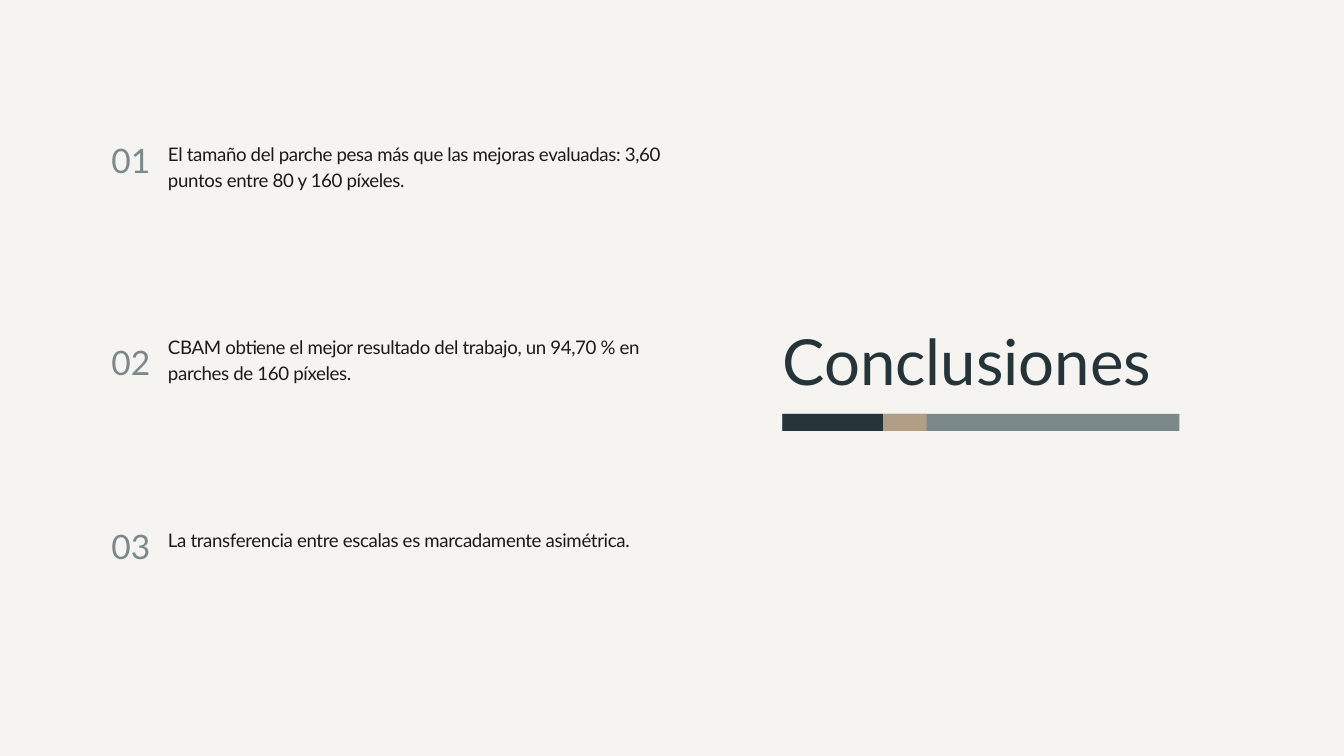
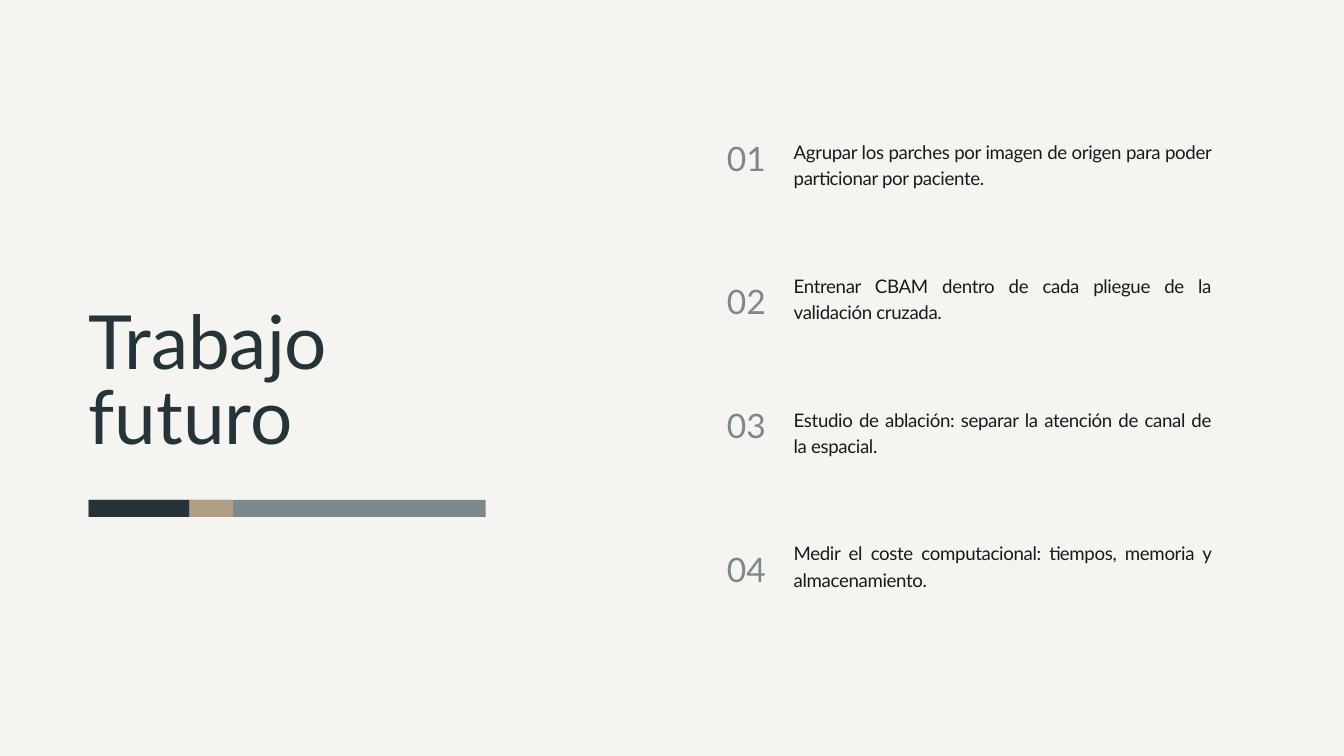
from dataclasses import dataclass

from pptx import Presentation
from pptx.dml.color import RGBColor
from pptx.enum.shapes import MSO_SHAPE
from pptx.enum.text import MSO_AUTO_SIZE, PP_ALIGN
from pptx.util import Cm, Pt


@dataclass(frozen=True)
class Theme:
    font: str = "Lato"
    background: RGBColor = RGBColor(0xF6, 0xF4, 0xF1)
    dark: RGBColor = RGBColor(0x25, 0x34, 0x39)
    sand: RGBColor = RGBColor(0xB2, 0x9E, 0x84)
    gray: RGBColor = RGBColor(0x7C, 0x89, 0x8B)
    ink: RGBColor = RGBColor(0x1C, 0x19, 0x1A)
    number_size: int = 36
    body_size: int = 20
    body_leading: int = 28
    body_tracking: int = -40  # hundredths of a point
    title_leading: int = 80
    band_height: float = 0.64
    number_height: float = 1.37
    number_drops: tuple = (0.28, 0.64)  # odd rows, even rows


class Deck:
    """Holds the theme and the slide being built; lengths are centimetres."""

    def __init__(self, theme):
        self.theme = theme
        self.presentation = Presentation()
        self.presentation.slide_width = Cm(50.8)
        self.presentation.slide_height = Cm(28.58)
        self.slide = None

    def new_slide(self):
        self.slide = self.presentation.slides.add_slide(self.presentation.slide_layouts[6])
        fill = self.slide.background.fill
        fill.solid()
        fill.fore_color.rgb = self.theme.background

    def text(self, box, content, size, leading, color, align, tracking=0):
        shape = self.slide.shapes.add_textbox(*map(Cm, box))
        frame = shape.text_frame
        frame.word_wrap = True
        frame.auto_size = MSO_AUTO_SIZE.SHAPE_TO_FIT_TEXT
        frame.margin_left = frame.margin_right = frame.margin_top = frame.margin_bottom = 0
        frame.text = content
        paragraph = frame.paragraphs[0]
        paragraph.alignment = align
        paragraph.line_spacing = Pt(leading)
        font = paragraph.runs[0].font
        font.name = self.theme.font
        font.size = Pt(size)
        font.color.rgb = color
        if tracking:
            paragraph.runs[0]._r.get_or_add_rPr().set("spc", str(tracking))

    def title(self, box, content, size):
        self.text(box, content, size, self.theme.title_leading, self.theme.dark, PP_ALIGN.JUSTIFY)

    def band(self, left, top):
        """Three-colour rule: dark and sand pieces over a full gray bar."""
        theme = self.theme
        for offset, width, color in (
            (0, 15.01, theme.gray),
            (0, 3.81, theme.dark),
            (3.81, 1.65, theme.sand),
        ):
            shape = self.slide.shapes.add_shape(
                MSO_SHAPE.RECTANGLE, Cm(left + offset), Cm(top), Cm(width), Cm(theme.band_height)
            )
            shape.shadow.inherit = False
            shape.fill.solid()
            shape.fill.fore_color.rgb = color
            shape.line.fill.background()

    def numbered_list(self, items, number_column, text_column, top, pitch, height, align):
        """Each column is a (left, width) pair."""
        theme = self.theme
        number_left, number_width = number_column
        text_left, text_width = text_column
        for index, item in enumerate(items):
            row_top = top + index * pitch
            number_top = row_top + theme.number_drops[index % 2]
            self.text((number_left, number_top, number_width, theme.number_height),
                      f"{index + 1:02d}", theme.number_size, theme.number_size,
                      theme.gray, PP_ALIGN.RIGHT)
            self.text((text_left, row_top, text_width, height), item, theme.body_size,
                      theme.body_leading, theme.ink, align, theme.body_tracking)


def main():
    deck = Deck(Theme())

    # Conclusions: list on the left, title on the right
    deck.new_slide()
    deck.title((29.57, 12.22, 16.92, 2.97), "Conclusiones", 68)
    deck.numbered_list(
        (
            "El tamaño del parche pesa más que las mejoras evaluadas: "
            "3,60 puntos entre 80 y 160 píxeles.",
            "CBAM obtiene el mejor resultado del trabajo, un 94,70 % en parches de 160 píxeles.",
            "La transferencia entre escalas es marcadamente asimétrica.",
        ),
        number_column=(2.84, 2.84), text_column=(6.35, 20.07),
        top=5.26, pitch=7.29, height=2.9, align=PP_ALIGN.LEFT,
    )
    deck.band(29.57, 15.65)

    # Future work: title on the left, list on the right
    deck.new_slide()
    deck.numbered_list(
        (
            "Agrupar los parches por imagen de origen para poder particionar por paciente.",
            "Entrenar CBAM dentro de cada pliegue de la validación cruzada.",
            "Estudio de ablación: separar la atención de canal de la espacial.",
            "Medir el coste computacional: tiempos, memoria y almacenamiento.",
        ),
        number_column=(24.94, 4.01), text_column=(30, 15.77),
        top=5.18, pitch=5.06, height=3.89, align=PP_ALIGN.JUSTIFY,
    )
    deck.title((3.35, 11.71, 16.84, 5.77), "Trabajo futuro", 80)
    deck.band(3.35, 18.9)

    deck.presentation.save("out.pptx")


if __name__ == "__main__":
    main()
